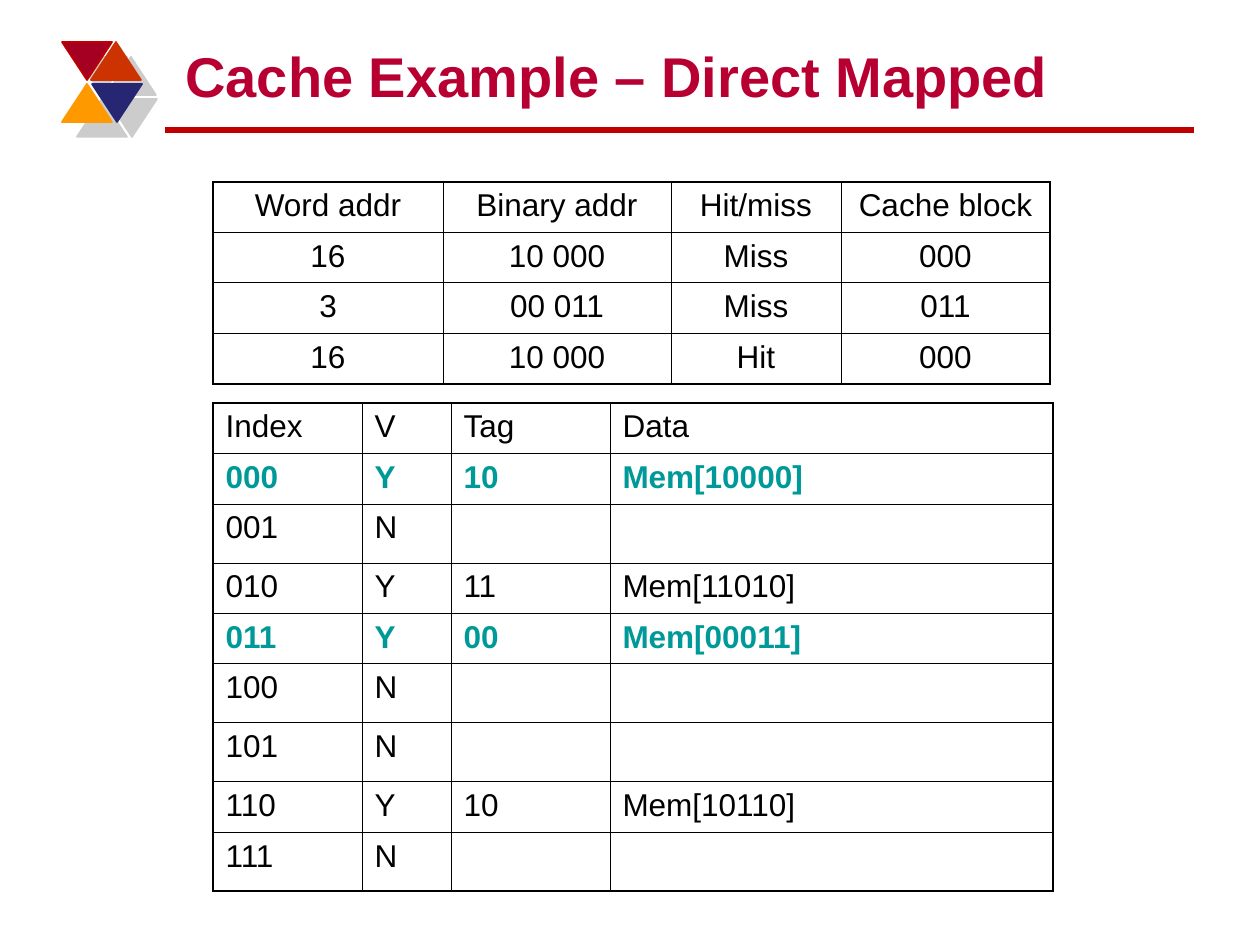
from lxml.etree import SubElement
from pptx import Presentation
from pptx.dml.color import RGBColor
from pptx.enum.shapes import MSO_CONNECTOR as CONN, MSO_SHAPE as SHAPE
from pptx.enum.text import MSO_ANCHOR as ANCHOR, PP_ALIGN as ALIGN
from pptx.oxml import parse_xml
from pptx.oxml.ns import nsdecls, qn
from pptx.util import Pt

BLACK = RGBColor(0x00, 0x00, 0x00)
TEAL = RGBColor(0x00, 0x99, 0x99)
TITLE_RED = RGBColor(0xB7, 0x00, 0x31)
RULE_RED = RGBColor(0xC0, 0x00, 0x00)
CRIMSON = RGBColor(0xA5, 0x00, 0x21)
RUST = RGBColor(0xCC, 0x33, 0x00)
ORANGE = RGBColor(0xFF, 0x99, 0x00)
NAVY = RGBColor(0x26, 0x26, 0x73)

TITLE = "Cache Example – Direct Mapped"
TRIANGLES = [
    (62, 42, 180, CRIMSON, RULE_RED),
    (91, 42, 0, RUST, RUST),
    (62, 84, 0, ORANGE, ORANGE),
    (92, 84, 180, NAVY, NAVY),
]
CACHE = dict(
    left=213, top=403, cols=[149, 89, 159, 443], align=ALIGN.LEFT, inner=0.45,
    marked=("000", "011"),
    rows=[
        ("Index", "V", "Tag", "Data"),
        ("000", "Y", "10", "Mem[10000]"),
        ("001", "N", "", ""),
        ("010", "Y", "11", "Mem[11010]"),
        ("011", "Y", "00", "Mem[00011]"),
        ("100", "N", "", ""),
        ("101", "N", "", ""),
        ("110", "Y", "10", "Mem[10110]"),
        ("111", "N", "", ""),
    ],
)
ACCESSES = dict(
    left=213, top=182, cols=[230, 228, 170, 209], align=ALIGN.CENTER, inner=0.75,
    marked=(),
    rows=[
        ("Word addr", "Binary addr", "Hit/miss", "Cache block"),
        ("16", "10 000", "Miss", "000"),
        ("3", "00 011", "Miss", "011"),
        ("16", "10 000", "Hit", "000"),
    ],
)
ROW_H, EMPTY_ROW_H = 50, 59
OUTER, HEADER, COLUMN = 1.08, 0.75, 0.45


def px(n):
    return round(n * 914400 / 126)


def write(p, text, size, color, bold):
    r = p.add_run()
    r.text = text
    r.font.color.rgb = color
    for name, value in dict(name="Arial", size=Pt(size), bold=bold).items():
        setattr(r.font, name, value)


def effects(shape, inner=""):
    shape._element.spPr.append(
        parse_xml(f"<a:effectLst {nsdecls('a')}>{inner}</a:effectLst>"))


def set_borders(cell, widths):
    tc_pr = cell._tc.get_or_add_tcPr()
    for side, width in zip("LRTB", widths):
        ln = SubElement(tc_pr, qn(f"a:ln{side}"), w=str(Pt(width)))
        fill = SubElement(ln, qn("a:solidFill"))
        SubElement(fill, qn("a:srgbClr"), val=str(BLACK))
    SubElement(tc_pr, qn("a:noFill"))


def add_grid(s, left, top, cols, rows, align, inner, marked):
    heights = [ROW_H if all(row) else EMPTY_ROW_H for row in rows]
    table = s.shapes.add_table(len(rows), len(cols), px(left), px(top),
                               px(sum(cols)), px(sum(heights))).table
    table.first_row = table.horz_banding = False
    for column, width in zip(table.columns, cols):
        column.width = px(width)
    for line, height in zip(table.rows, heights):
        line.height = px(height)
    x_lines = [OUTER] + [COLUMN] * (len(cols) - 1) + [OUTER]
    y_lines = [OUTER, HEADER] + [inner] * (len(rows) - 2) + [OUTER]
    for i, row in enumerate(rows):
        bold = row[0] in marked
        for j, text in enumerate(row):
            cell = table.cell(i, j)
            set_borders(cell, x_lines[j:j + 2] + y_lines[i:i + 2])
            if text:
                p = cell.text_frame.paragraphs[0]
                p.alignment = align
                write(p, text, 18, TEAL if bold else BLACK, bold)


def main():
    prs = Presentation()
    prs.slide_width, prs.slide_height = px(1260), px(945)
    s = prs.slides.add_slide(prs.slide_layouts[6])

    rule = s.shapes.add_connector(CONN.STRAIGHT, px(165), px(130), px(1194), px(130))
    rule.line.color.rgb = RULE_RED
    rule.line.width = Pt(3)
    effects(rule)

    shadow = (f'<a:outerShdw dist="{Pt(12.1)}" dir="2700000" algn="ctr" rotWithShape="0">'
              '<a:srgbClr val="000000"><a:alpha val="20000"/></a:srgbClr></a:outerShdw>')
    for left, top, rotation, fill, line in TRIANGLES:
        sp = s.shapes.add_shape(SHAPE.ISOSCELES_TRIANGLE, px(left), px(top), px(50), px(38))
        sp.rotation = rotation
        sp.fill.solid()
        sp.fill.fore_color.rgb = fill
        sp.line.color.rgb = line
        sp.line.width = Pt(1)
        effects(sp, shadow)

    tf = s.shapes.add_textbox(px(173), px(31), px(1008), px(84)).text_frame
    tf.word_wrap = True
    tf.vertical_anchor = ANCHOR.BOTTOM
    write(tf.paragraphs[0], TITLE, 32, TITLE_RED, True)

    for grid in (CACHE, ACCESSES):
        add_grid(s, **grid)
    prs.save("out.pptx")


if __name__ == "__main__":
    main()
